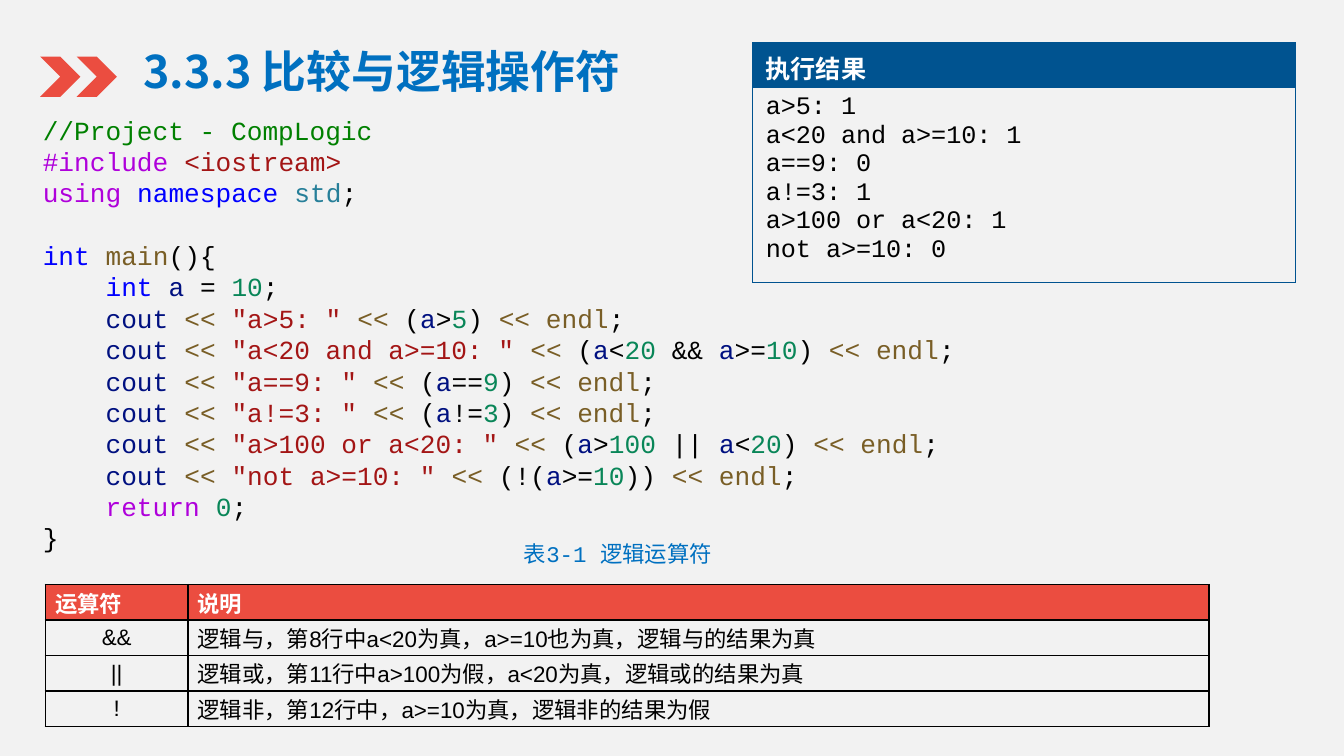
from itertools import groupby

from lxml import etree
from pptx import Presentation
from pptx.dml.color import RGBColor
from pptx.enum import shapes, text
from pptx.oxml import ns
from pptx.util import Cm, Pt

PAPER = RGBColor(0xF2, 0xF2, 0xF2)
WHITE = RGBColor(0xFF, 0xFF, 0xFF)
BLACK = RGBColor(0x00, 0x00, 0x00)
RED = RGBColor(0xEB, 0x4D, 0x40)
BLUE = RGBColor(0x00, 0x70, 0xC0)
NAVY = RGBColor(0x00, 0x53, 0x90)

COMMENT = RGBColor(0x00, 0x80, 0x00)
DIRECTIVE = RGBColor(0xAF, 0x00, 0xDB)
STRING = RGBColor(0xA3, 0x15, 0x15)
KEYWORD = RGBColor(0x00, 0x00, 0xFF)
TYPE = RGBColor(0x26, 0x7F, 0x99)
FUNCTION = RGBColor(0x79, 0x5E, 0x26)
VARIABLE = RGBColor(0x00, 0x10, 0x80)
NUMBER = RGBColor(0x09, 0x86, 0x58)

SANS, MONO, CJK = "Arial", "Courier New", "Noto Sans CJK JP"
INDENT = "    "
CODE_PITCH = Pt(16.8)


class SlideBuilder:
    def __init__(self, slide):
        self.slide = slide
        slide.background.fill.solid()
        slide.background.fill.fore_color.rgb = PAPER

    def run(self, paragraph, wording, color, **formats):
        run = paragraph.add_run()
        run.text = wording
        for name, value in formats.items():
            setattr(run.font, name, value)
        run.font.color.rgb = color
        east_asian = etree.SubElement(run.font._element, ns.qn("a:ea"))
        east_asian.set("typeface", CJK)

    def text_box(self, left, top, width, height):
        box = self.slide.shapes.add_textbox(Cm(left), Cm(top), Cm(width), Cm(height))
        box.text_frame.word_wrap = True
        return box.text_frame

    def chevron(self, left, top, size):
        arrow = self.slide.shapes.add_shape(
            shapes.MSO_SHAPE.CHEVRON, Cm(left), Cm(top), Cm(size), Cm(size))
        arrow.shadow.inherit = False
        arrow.fill.solid()
        arrow.fill.fore_color.rgb = RED
        arrow.line.fill.background()

    def code(self, frame, lines):
        """Write one paragraph per line; None leaves a gap of one line."""
        paragraph, gap = frame.paragraphs[0], None
        for number, line in enumerate(lines):
            if line is None:
                gap = CODE_PITCH
                continue
            if number:
                paragraph = frame.add_paragraph()
            paragraph.line_spacing = CODE_PITCH
            if gap:
                paragraph.space_before, gap = gap, None
            for wording, color in line:
                self.run(paragraph, wording, color, size=Pt(14), name=MONO)

    def table(self, left, top, widths, heights):
        table = self.slide.shapes.add_table(
            len(heights), len(widths), Cm(left), Cm(top),
            Cm(sum(widths)), Cm(sum(heights))).table
        table.first_row = table.horz_banding = False
        for column, width in zip(table.columns, widths):
            column.width = Cm(width)
        for row, height in zip(table.rows, heights):
            row.height = Cm(height)
        return table

    def cell(self, cell, lines, border, fill=None, color=BLACK, align=None,
             frame=None, **formats):
        """Fill one cell; frame holds margins and the vertical anchor."""
        for name, value in (frame or {}).items():
            setattr(cell, name, value)
        for number, line in enumerate(lines):
            paragraph = cell.text_frame.paragraphs[0]
            if number:
                paragraph = cell.text_frame.add_paragraph()
            paragraph.alignment = align
            self.run(paragraph, line, color, **formats)
        self.borders(cell, *border)
        if fill is None:
            cell.fill.background()
        else:
            cell.fill.solid()
            cell.fill.fore_color.rgb = fill

    def borders(self, cell, color, width):
        properties = cell._tc.get_or_add_tcPr()
        for side in ("lnL", "lnR", "lnT", "lnB"):
            edge = etree.SubElement(properties, ns.qn(f"a:{side}"), w=str(Pt(width)))
            fill = etree.SubElement(edge, ns.qn("a:solidFill"))
            etree.SubElement(fill, ns.qn("a:srgbClr"), val=str(color))


def token_color(char):
    if char == "a":
        return VARIABLE
    return NUMBER if char.isdigit() else BLACK


def cout_line(label, expression):
    tokens = [("".join(chars), color)
              for color, chars in groupby(f" ({expression}) ", token_color)]
    return [(INDENT + "cout ", VARIABLE), ("<< ", FUNCTION),
            (f'"{label}: " ', STRING), ("<<", FUNCTION),
            *tokens, ("<< endl", FUNCTION), (";", BLACK)]


CHECKS = [
    ("a>5", "a>5", 1),
    ("a<20 and a>=10", "a<20 && a>=10", 1),
    ("a==9", "a==9", 0),
    ("a!=3", "a!=3", 1),
    ("a>100 or a<20", "a>100 || a<20", 1),
    ("not a>=10", "!(a>=10)", 0),
]
PROGRAM = [
    [("//Project - CompLogic", COMMENT)],
    [("#include ", DIRECTIVE), ("<iostream>", STRING)],
    [("using ", DIRECTIVE), ("namespace ", KEYWORD), ("std", TYPE), (";", BLACK)],
    None,
    [("int ", KEYWORD), ("main", FUNCTION), ("(){", BLACK)],
    [(INDENT + "int ", KEYWORD), ("a", VARIABLE), (" = ", BLACK),
     ("10", NUMBER), (";", BLACK)],
    *[cout_line(label, expression) for label, expression, _ in CHECKS],
    [(INDENT + "return ", DIRECTIVE), ("0", NUMBER), (";", BLACK)],
    [("}", BLACK)],
]
OPERATORS = [
    ("运算符", "说明"),
    ("&&", "逻辑与，第8行中a<20为真，a>=10也为真，逻辑与的结果为真"),
    ("||", "逻辑或，第11行中a>100为假，a<20为真，逻辑或的结果为真"),
    ("!", "逻辑非，第12行中，a>=10为真，逻辑非的结果为假"),
]


def main():
    deck = Presentation()
    deck.slide_width, deck.slide_height = Cm(25.4), Cm(14.29)
    page = SlideBuilder(deck.slides.add_slide(deck.slide_layouts[6]))

    title = page.text_box(2.46, 0.71, 11.4, 1.27)
    page.run(title.paragraphs[0], "3.3.3 比较与逻辑操作符", BLUE,
             size=Pt(24), name=CJK, bold=True)
    for left in (0.76, 1.45):
        page.chevron(left, 1.07, 0.76)

    page.code(page.text_box(0.56, 2.03, 24.49, 9.22), PROGRAM)

    result = page.table(14.22, 0.81, [10.26], [0.84, 3.68])
    result_border = (NAVY, 0.5)
    page.cell(result.cell(0, 0), ["执行结果"], result_border, NAVY, WHITE,
              frame={"margin_bottom": 0}, size=Pt(13.5), name=SANS, bold=True)
    page.cell(result.cell(1, 0), [f"{label}: {value}" for label, _, value in CHECKS],
              result_border, size=Pt(13.5), name=MONO, bold=False)

    operators = page.table(0.86, 11.05, [2.69, 19.3], [0.67] * len(OPERATORS))
    tight = {"margin_left": Cm(0.18), "margin_right": Cm(0.18), "margin_top": 0,
             "margin_bottom": 0, "vertical_anchor": text.MSO_ANCHOR.MIDDLE}
    for row, entries in enumerate(OPERATORS):
        header = row == 0
        for column, entry in enumerate(entries):
            centred = not header and column == 0
            page.cell(operators.cell(row, column), [entry], (BLACK, 1),
                      RED if header else None, WHITE if header else BLACK,
                      text.PP_ALIGN.CENTER if centred else None, tight,
                      size=Pt(12), name=SANS, bold=header)

    caption = page.text_box(4.62, 10.08, 14.12, 0.76).paragraphs[0]
    caption.alignment = text.PP_ALIGN.CENTER
    for wording, font in (("表", SANS), ("3-1 ", MONO), ("逻辑运算符", SANS)):
        page.run(caption, wording, BLUE, size=Pt(12), name=font)

    deck.save("out.pptx")


if __name__ == "__main__":
    main()
